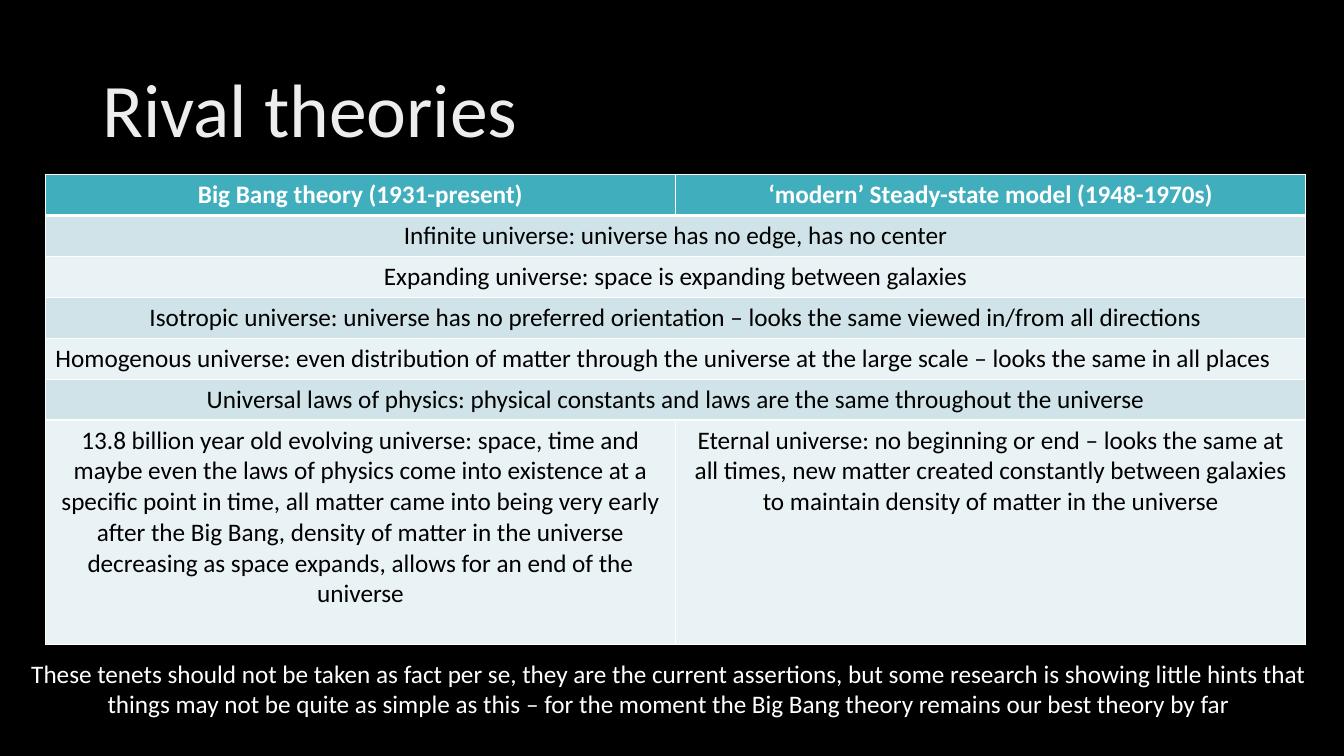
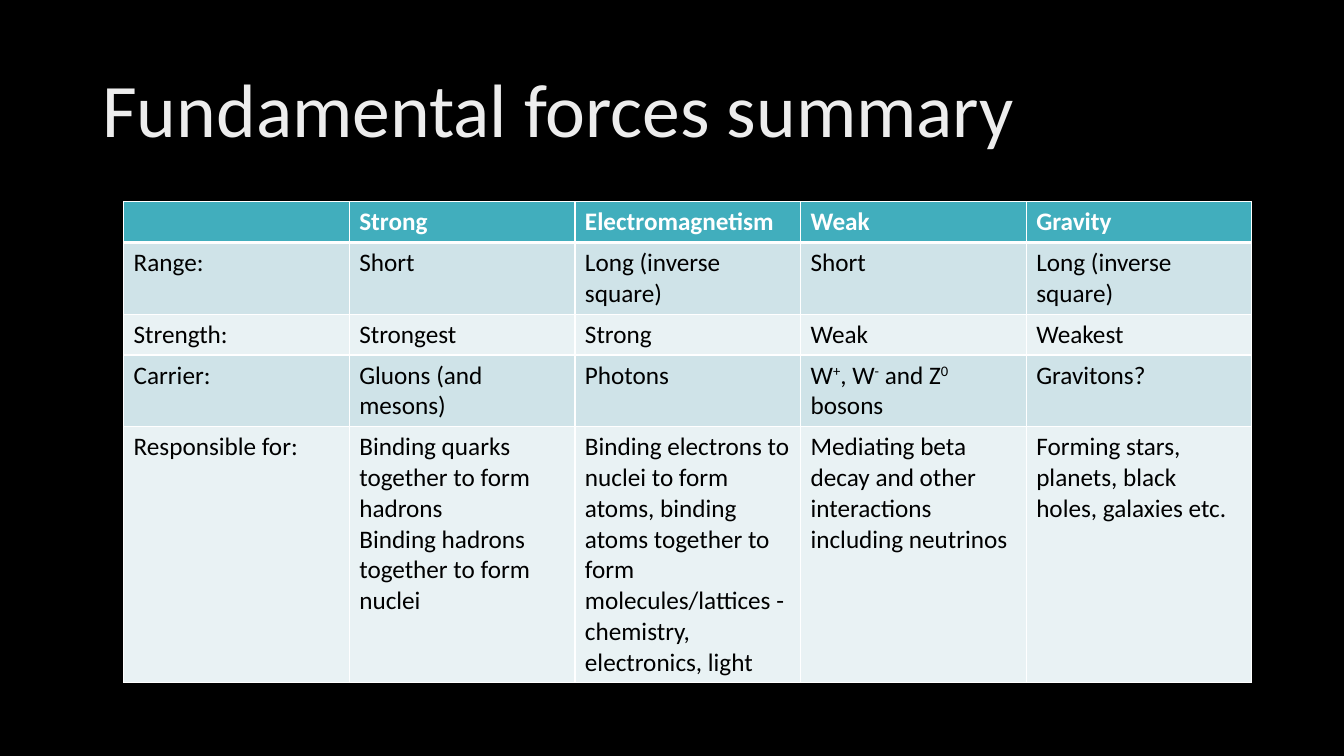
from lxml import etree
from pptx import Presentation
from pptx.dml.color import RGBColor
from pptx.enum.text import MSO_ANCHOR, PP_ALIGN
from pptx.oxml.ns import qn
from pptx.util import Pt

LEFT, CENTER = PP_ALIGN.LEFT, PP_ALIGN.CENTER
MIDDLE = MSO_ANCHOR.MIDDLE
FONT = "Calibri"
COLORS = {
    "background": "000000",
    "title": "EDEDED",
    "header": "41AEBD",
    "odd row": "CFE3E8",
    "even row": "E9F2F4",
    "light": "FFFFFF",
    "dark": "000000",
}
BODY_SIZE = 18
ONE_LINE, TWO_LINES = 29.2, 51.2  # row heights


def write(frame, text, color, size=BODY_SIZE, align=LEFT, bold=False):
    """Fill a text frame: newlines split paragraphs, ^marks^ enclose superscripts."""
    frame.word_wrap = True
    for number, line in enumerate(text.split("\n")):
        paragraph = frame.add_paragraph() if number else frame.paragraphs[0]
        paragraph.alignment = align
        font = paragraph.font
        font.name, font.size, font.bold = FONT, Pt(size), bold
        font.color.rgb = RGBColor.from_string(COLORS[color])
        for part, piece in enumerate(line.split("^")):
            if piece:
                run = paragraph.add_run()
                run.text = piece
                if part % 2:
                    run.font._element.set("baseline", "30000")


def add_grid(slide, left, top, column_width, heights, rows, align):
    """Add a banded table; a row with a single text spans all columns."""
    columns = len(rows[0])
    table = slide.shapes.add_table(
        len(rows), columns, Pt(left), Pt(top),
        Pt(column_width * columns), Pt(sum(heights))).table
    for column in table.columns:
        column.width = Pt(column_width)
    for r, texts in enumerate(rows):
        table.rows[r].height = Pt(heights[r])
        band = "header" if r == 0 else "odd row" if r % 2 else "even row"
        for c in range(columns):
            cell = table.cell(r, c)
            # White rules, thicker under the header
            widths = {"lnL": 1, "lnR": 1, "lnT": 3 if r == 1 else 1, "lnB": 1 if r else 3}
            for side, width in widths.items():
                line = etree.SubElement(cell._tc.get_or_add_tcPr(), qn("a:" + side),
                                        w=str(Pt(width)))
                fill = etree.SubElement(line, qn("a:solidFill"))
                etree.SubElement(fill, qn("a:srgbClr"), val=COLORS["light"])
            cell.fill.solid()
            cell.fill.fore_color.rgb = RGBColor.from_string(COLORS[band])
            if c < len(texts):
                write(cell.text_frame, texts[c], "dark" if r else "light",
                      align=align, bold=r == 0)
        if len(texts) == 1:
            table.cell(r, 0).merge(table.cell(r, columns - 1))
    return table


prs = Presentation()
prs.slide_width, prs.slide_height = Pt(960), Pt(540)

# Slides with the shared background and title
slides = []
for title in ("Rival theories", "Fundamental forces summary"):
    slide = prs.slides.add_slide(prs.slide_layouts[6])
    slide.background.fill.solid()
    slide.background.fill.fore_color.rgb = RGBColor.from_string(COLORS["background"])
    heading = slide.shapes.add_textbox(Pt(66), Pt(28.75), Pt(828), Pt(104.4)).text_frame
    heading.vertical_anchor = MIDDLE
    write(heading, title, "title", size=54)
    heading.paragraphs[0].line_spacing = 0.9
    slides.append(slide)
rivals_slide, forces_slide = slides

# Rival theories: shared tenets span both columns
theories = [
    ["Big Bang theory (1931-present)", "‘modern’ Steady-state model (1948-1970s)"],
    ["Infinite universe: universe has no edge, has no center"],
    ["Expanding universe: space is expanding between galaxies"],
    ["Isotropic universe: universe has no preferred orientation – looks the same "
     "viewed in/from all directions"],
    ["Homogenous universe: even distribution of matter through the universe at the "
     "large scale – looks the same in all places"],
    ["Universal laws of physics: physical constants and laws are the same "
     "throughout the universe"],
    ["13.8 billion year old evolving universe: space, time and maybe even the laws of "
     "physics come into existence at a specific point in time, all matter came into "
     "being very early after the Big Bang, density of matter in the universe "
     "decreasing as space expands, allows for an end of the universe",
     "Eternal universe: no beginning or end – looks the same at all times, new matter "
     "created constantly between galaxies to maintain density of matter in the universe"],
]
tenets = add_grid(rivals_slide, 32.4, 124.8, 450.2, [ONE_LINE] * 6 + [160.5],
                  theories, CENTER)
tenets.cell(4, 0).text_frame.paragraphs[0].alignment = LEFT  # fills the whole row

caveat = rivals_slide.shapes.add_textbox(Pt(11.5), Pt(466.5), Pt(932.4), Pt(51))
write(caveat.text_frame,
      "These tenets should not be taken as fact per se, they are the current assertions, "
      "but some research is showing little hints that things may not be quite as simple "
      "as this – for the moment the Big Bang theory remains our best theory by far",
      "light", align=CENTER)

# Fundamental forces: one column per force
forces = [
    ["", "Strong", "Electromagnetism", "Weak", "Gravity"],
    ["Range:", "Short", "Long (inverse square)", "Short", "Long (inverse square)"],
    ["Strength:", "Strongest", "Strong", "Weak", "Weakest"],
    ["Carrier:", "Gluons (and mesons)", "Photons", "W^+^, W^-^ and Z^0^ bosons",
     "Gravitons?"],
    ["Responsible for:",
     "Binding quarks together to form hadrons\nBinding hadrons together to form nuclei",
     "Binding electrons to nuclei to form atoms, binding atoms together to form "
     "molecules/lattices - chemistry, electronics, light",
     "Mediating beta decay and other interactions including neutrinos",
     "Forming stars, planets, black holes, galaxies etc."],
]
add_grid(forces_slide, 88.3, 144, 161.2,
         [ONE_LINE, TWO_LINES, ONE_LINE, TWO_LINES, 183], forces, LEFT)

prs.save("out.pptx")
